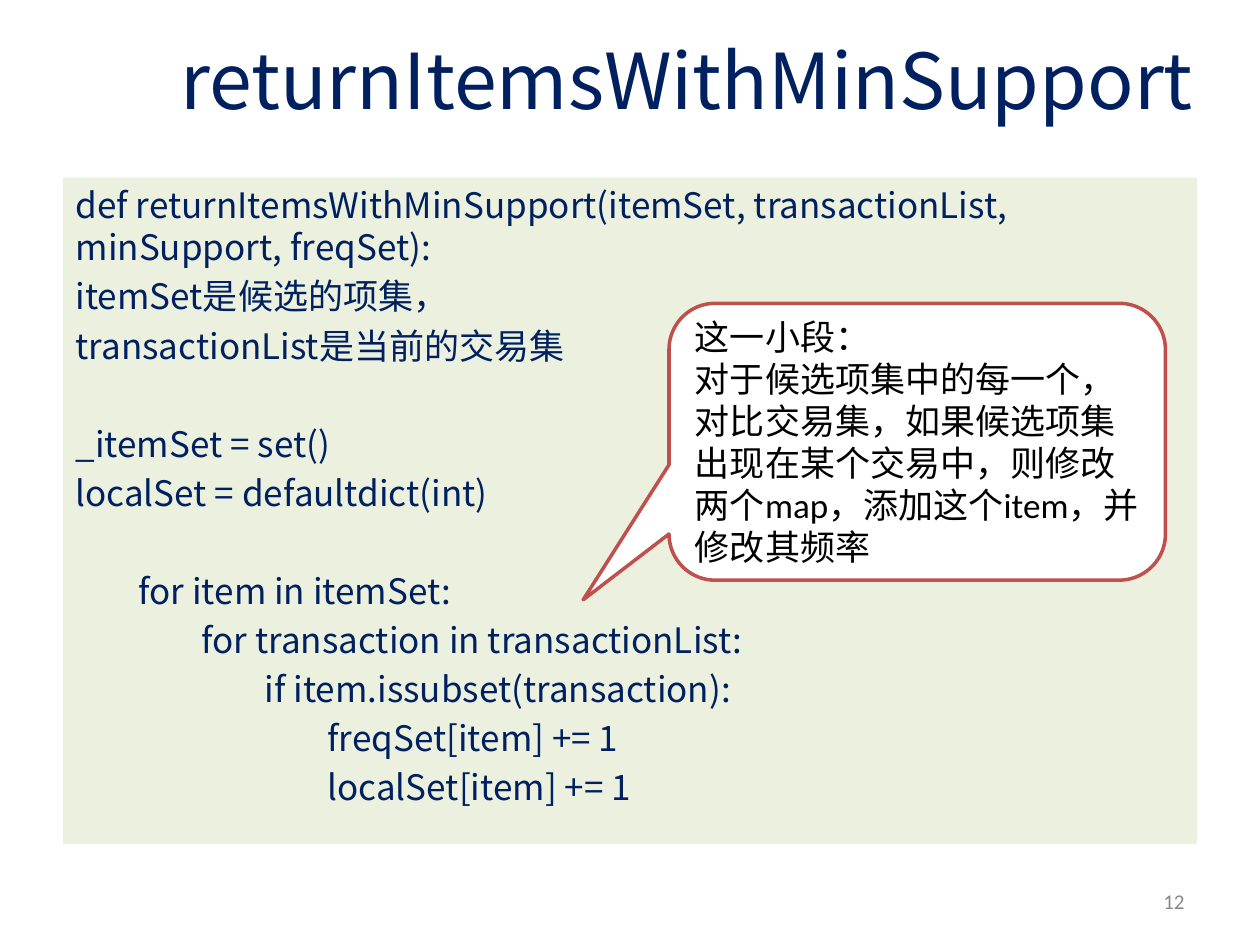
from pptx import Presentation
from pptx.dml.color import RGBColor
from pptx.enum.shapes import MSO_SHAPE
from pptx.enum.text import MSO_ANCHOR, MSO_AUTO_SIZE, PP_ALIGN
from pptx.oxml.ns import qn
from pptx.util import Inches, Pt
from lxml.etree import SubElement

CJK = "Noto Sans CJK SC"
NAVY = "002060"


def paint(target, color):
    target.solid()
    target.fore_color.rgb = RGBColor.from_string(color)


def style(box, shares, size, font, color, align, anchor):
    left, top, width, height = shares
    box.left, box.width = int(left * deck.slide_width), int(width * deck.slide_width)
    box.top, box.height = int(top * deck.slide_height), int(height * deck.slide_height)
    frame = box.text_frame
    frame.word_wrap = True
    frame.auto_size = MSO_AUTO_SIZE.NONE
    frame.vertical_anchor = anchor
    for para in frame.paragraphs:
        para.alignment = align
        for span in para.runs:
            span.font.size = Pt(size)
            span.font.name = font
            paint(span.font.fill, color)
            SubElement(span.font._element, qn("a:ea"), typeface=CJK)


deck = Presentation()
deck.slide_width, deck.slide_height = Inches(10), Inches(7.5)
page = deck.slides.add_slide(deck.slide_layouts[1])

title = page.shapes.title
title.text_frame.text = "returnItemsWithMinSupport"
style(title, (0.133, 0, 0.867, 0.167), 44, CJK, NAVY, PP_ALIGN.LEFT, MSO_ANCHOR.MIDDLE)

code_lines = [
    (0, 0, "def returnItemsWithMinSupport(itemSet, transactionList, minSupport, freqSet):"),
    (0, 0, "itemSet是候选的项集，"),
    (0, 0, "transactionList是当前的交易集"),
    (0, 1, "_itemSet = set()"),
    (0, 0, "localSet = defaultdict(int)"),
    (1, 1, "for item in itemSet:"),
    (2, 0, "for transaction in transactionList:"),
    (3, 0, "if item.issubset(transaction):"),
    (4, 0, "freqSet[item] += 1"),
    (4, 0, "localSet[item] += 1"),
]
code = page.placeholders[1]
code.text_frame.text = "\n".join(text for _, _, text in code_lines)
paint(code.fill, "EBF1DE")
style(code, (0.05, 0.188, 0.9, 0.705), 20, CJK, NAVY, PP_ALIGN.LEFT, MSO_ANCHOR.TOP)
for para, (depth, gap, _) in zip(code.text_frame.paragraphs, code_lines):
    para.line_spacing = Pt(24)
    para.space_before = Pt(4 + 28 * gap)
    properties = para._p.get_or_add_pPr()
    properties.set("marL", str(Inches(0.5 * depth)))
    properties.set("indent", "0")
    SubElement(properties, qn("a:buNone"))

number = page.shapes.add_textbox(0, 0, 0, 0)
number.text_frame.text = "12"
style(number, (0.717, 0.927, 0.233, 0.053), 12, "Calibri", "898989", PP_ALIGN.RIGHT, MSO_ANCHOR.MIDDLE)

callout = page.shapes.add_shape(MSO_SHAPE.ROUNDED_RECTANGULAR_CALLOUT, 0, 0, 0, 0)
callout.shadow.inherit = False
for index, value in enumerate((-0.673, 0.571, 0.167)):
    callout.adjustments[index] = value
paint(callout.fill, "FFFFFF")
paint(callout.line.fill, "C0504D")
callout.line.width = Pt(2)
callout.text_frame.text = (
    "这一小段：\n"
    "对于候选项集中的每一个，对比交易集，如果候选项集出现在某个交易中，"
    "则修改两个map，添加这个item，并修改其频率"
)
style(callout, (0.531, 0.321, 0.394, 0.293), 20, "Calibri", "000000", PP_ALIGN.LEFT, MSO_ANCHOR.MIDDLE)
for para in callout.text_frame.paragraphs:
    para.line_spacing = Pt(24)

deck.save("out.pptx")
